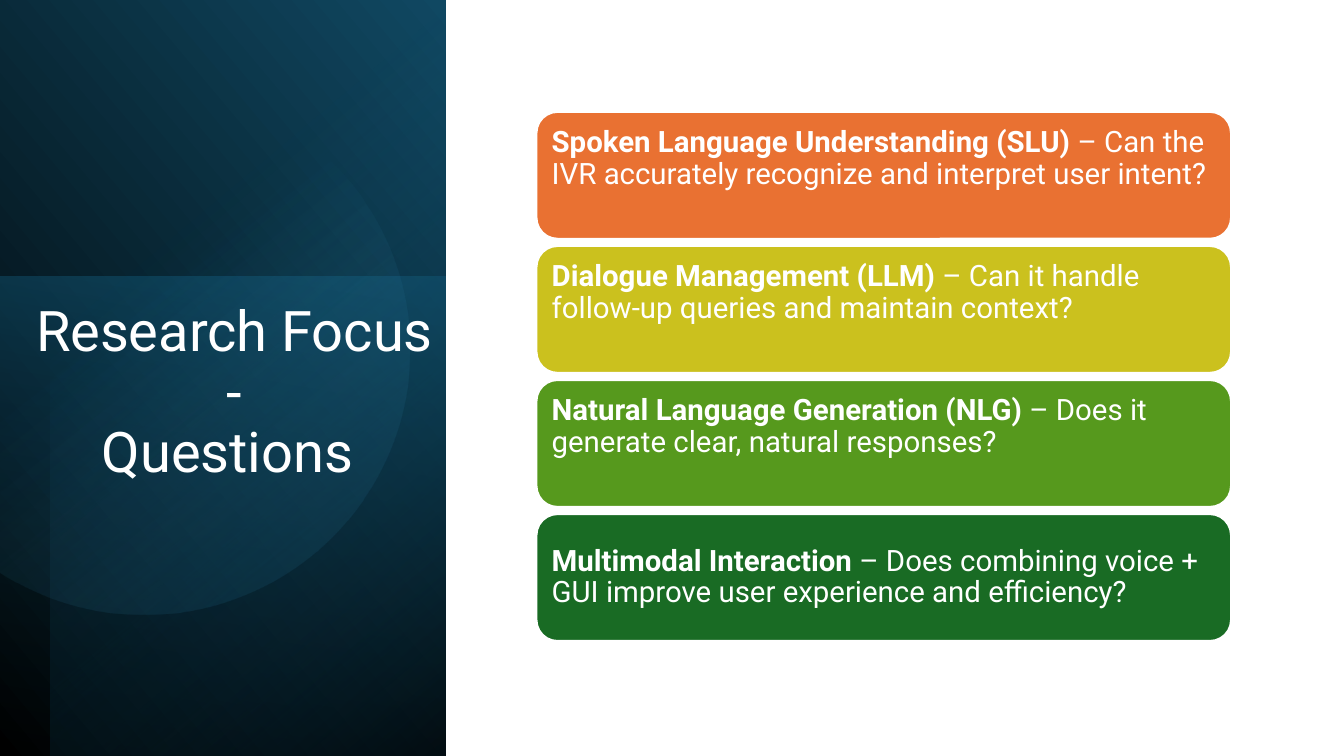
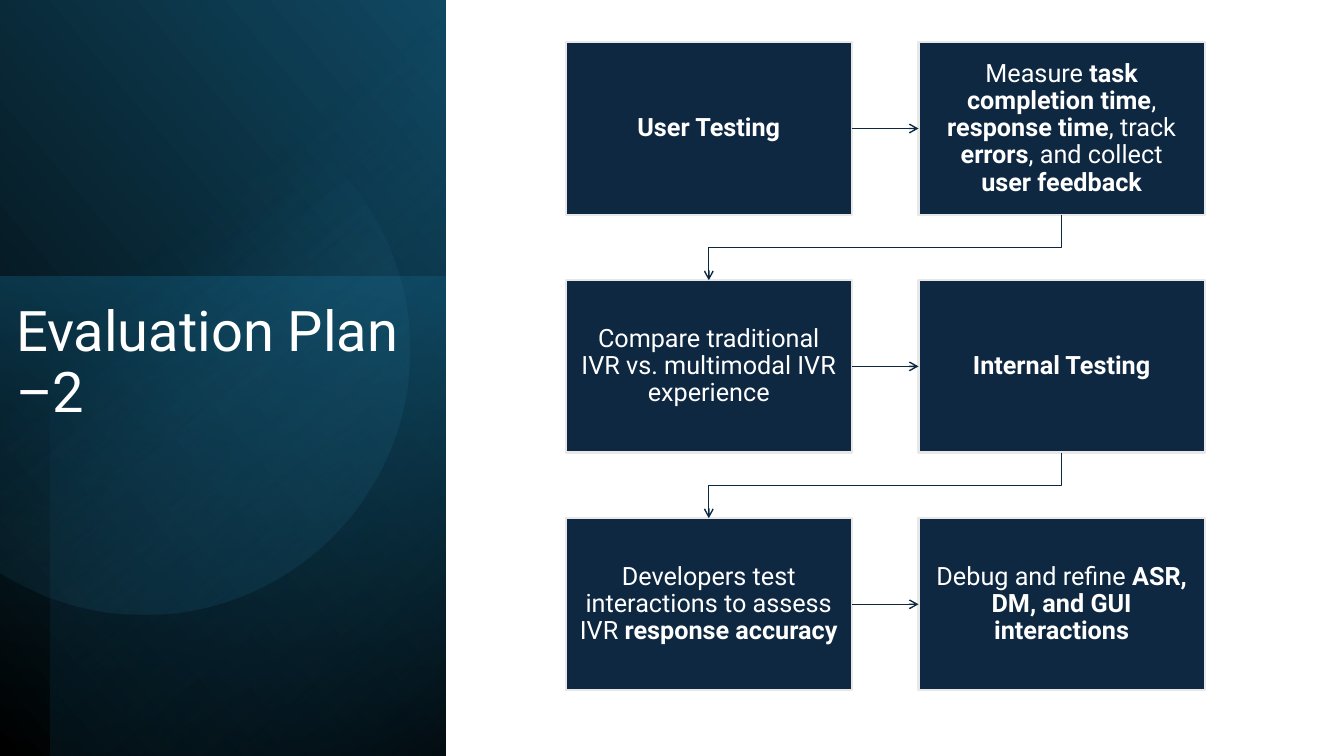
"""Build two slides about research questions and the evaluation plan of a voice system."""
from math import acos, cos, sin
from itertools import pairwise

from lxml.etree import SubElement
from pptx import Presentation
from pptx.dml.color import RGBColor as RGB
from pptx.enum.shapes import MSO_CONNECTOR as CXN, MSO_SHAPE as SHAPE
from pptx.enum.text import MSO_ANCHOR as ANCHOR, MSO_AUTO_SIZE as FIT, PP_ALIGN as ALIGN
from pptx.oxml.ns import qn
from pptx.util import Inches, Pt

COLORS = {
    "white": "FFFFFF", "black": "000000", "deep": "104862", "teal": "156082",
    "dark": "0B3041", "sky": "46B1E1", "navy": "0E2841", "grey": "E8E8E8",
    "orange": "E97132", "yellow": "CBC11E", "lime": "56991D", "green": "196B24",
}
FONT = "Roboto"
BOTTOM, LEFT, RIGHT, TOP = 2, 1, 3, 0


def color(name):
    return RGB.from_string(COLORS[name])


class Deck:
    """Hold the shared style and the current slide."""

    def __init__(self):
        self.prs = Presentation()
        self.prs.slide_width, self.prs.slide_height = Inches(13.33), Inches(7.5)
        self.s = None

    def slide(self, title, left, width, height, align):
        self.s = self.prs.slides.add_slide(self.prs.slide_layouts[5])
        self.panel()
        sp = self.s.shapes.title
        self.s.shapes._spTree.append(sp._element)
        sp.left, sp.top = Inches(left), Inches(2.96)
        sp.width, sp.height = Inches(width), Inches(height)
        self.text(sp, [(title, False)], 40, align, ANCHOR.TOP, 0.1, 0.05)

    def panel(self):
        self.gradient(self.shape(SHAPE.RECTANGLE, 0, 0, 4.42, 7.5), 320,
                      (0, "black", 100), (100, "deep", 100))
        self.gradient(self.shape(SHAPE.RECTANGLE, 0, 2.74, 4.42, 4.76), 100,
                      (0, "teal", 50), (100, "dark", 0))
        self.gradient(self.shape(SHAPE.RECTANGLE, 0.5, 0, 3.92, 7.5), 230,
                      (0, "black", 59), (69, "teal", 0))
        self.gradient(self.cut_circle(1.43, 3.47, 2.63), 51.6,
                      (39, "sky", 0), (100, "deep", 26))

    def shape(self, kind, x, y, w, h):
        sp = self.s.shapes.add_shape(kind, Inches(x), Inches(y), Inches(w), Inches(h))
        sp.shadow.inherit = False
        return sp

    def cut_circle(self, cx, cy, radius, steps=120):
        edge = acos(-cx / radius)
        angles = [edge * (2 * i / steps - 1) for i in range(steps + 1)]
        points = [(Inches(cx + radius * cos(a)), Inches(cy + radius * sin(a))) for a in angles]
        outline = self.s.shapes.build_freeform(*points[0])
        outline.add_line_segments(points[1:], close=True)
        sp = outline.convert_to_shape()
        sp.shadow.inherit = False
        return sp

    def gradient(self, sp, angle, *stops):
        sp.line.fill.background()
        sp.fill.gradient()
        sp.fill.gradient_angle = 360 - angle
        for stop, (position, name, _) in zip(sp.fill.gradient_stops, stops):
            stop.position = position / 100
            stop.color.rgb = color(name)
        for clr, (_, _, opacity) in zip(sp._element.spPr.iter(qn("a:srgbClr")), stops):
            SubElement(clr, qn("a:alpha")).set("val", str(opacity * 1000))

    def text(self, sp, runs, size, align, anchor, side, end):
        tf = sp.text_frame
        tf.word_wrap, tf.auto_size, tf.vertical_anchor = True, FIT.NONE, anchor
        tf.margin_left = tf.margin_right = Inches(side)
        tf.margin_top = tf.margin_bottom = Inches(end)
        p = tf.paragraphs[0]
        p.alignment, p.line_spacing, p.space_before = align, 0.9, Pt(0)
        for words, bold in runs:
            for i, line in enumerate(words.split("\n")):
                if i:
                    p.add_line_break()
                r = p.add_run()
                r.text = line
                r.font.name, r.font.size, r.font.bold = FONT, Pt(size), bold
                r.font.color.rgb = color("white")

    def box(self, kind, at, fill, line):
        sp = self.shape(kind, *at)
        sp.fill.solid()
        sp.fill.fore_color.rgb = color(fill)
        sp.line.color.rgb = color(line)
        sp.line.width = Pt(1.5)
        return sp

    def card(self, y, fill, runs, anchor):
        sp = self.box(SHAPE.ROUNDED_RECTANGLE, (5.32, y, 6.89, 1.26), fill, "white")
        self.text(sp, runs, 21, ALIGN.LEFT, anchor, 0.09, 0.09)

    def step(self, x, y, runs):
        sp = self.box(SHAPE.RECTANGLE, (x, y, 2.84, 1.71), "navy", "grey")
        self.text(sp, runs, 18, ALIGN.CENTER, ANCHOR.MIDDLE, 0.14, 0.15)
        return sp

    def arrow(self, start, end):
        same_row = start.top == end.top
        c = self.s.shapes.add_connector(CXN.STRAIGHT if same_row else CXN.ELBOW, 0, 0, 0, 0)
        c.begin_connect(start, RIGHT if same_row else BOTTOM)
        c.end_connect(end, LEFT if same_row else TOP)
        if not same_row:
            self.turn(c)
        c.line.color.rgb = color("navy")
        c.line.width = Pt(1)
        SubElement(c.line._get_or_add_ln(), qn("a:tailEnd")).set("type", "arrow")
        SubElement(c._element.spPr, qn("a:effectLst"))

    def turn(self, c):
        w, h = c.width, c.height
        shift = (w - h) // 2
        c.left, c.top, c.width, c.height = c.left + shift, c.top - shift, h, w
        xfrm = c._element.spPr.xfrm
        xfrm.flipH = False
        xfrm.set("rot", "5400000")


QUESTIONS = [
    ("orange", "Spoken Language Understanding (SLU)",
     " – Can the IVR accurately recognize and interpret user intent?", ANCHOR.TOP),
    ("yellow", "Dialogue Management (LLM)",
     " – Can it handle follow-up queries and maintain context?", ANCHOR.TOP),
    ("lime", "Natural Language Generation (NLG)",
     " – Does it generate clear, natural responses?", ANCHOR.TOP),
    ("green", "Multimodal Interaction",
     " – Does combining voice + GUI improve user experience and efficiency?", ANCHOR.MIDDLE),
]
STEPS = [
    [("User Testing", True)],
    [("Measure ", False), ("task completion time", True), (", ", False),
     ("response time", True), (", track ", False), ("errors", True),
     (", and collect ", False), ("user feedback", True)],
    [("Compare traditional IVR vs. multimodal IVR experience", False)],
    [("Internal Testing", True)],
    [("Developers test interactions to assess IVR ", False), ("response accuracy", True)],
    [("Debug and refine ", False), ("ASR, DM, and GUI interactions", True)],
]


def main():
    deck = Deck()
    deck.slide("Research Focus -\nQuestions ", 0.12, 4.41, 2.05, ALIGN.CENTER)
    for i, (fill, topic, question, anchor) in enumerate(QUESTIONS):
        deck.card(1.11 + 1.33 * i, fill, [(topic, True), (question, False)], anchor)

    deck.slide("Evaluation Plan –2", 0.06, 4.3, 1.59, ALIGN.LEFT)
    boxes = [deck.step(5.61 + 3.5 * (i % 2), 0.42 + 2.36 * (i // 2), runs)
             for i, runs in enumerate(STEPS)]
    for start, end in pairwise(boxes):
        deck.arrow(start, end)
    deck.prs.save("out.pptx")


if __name__ == "__main__":
    main()
